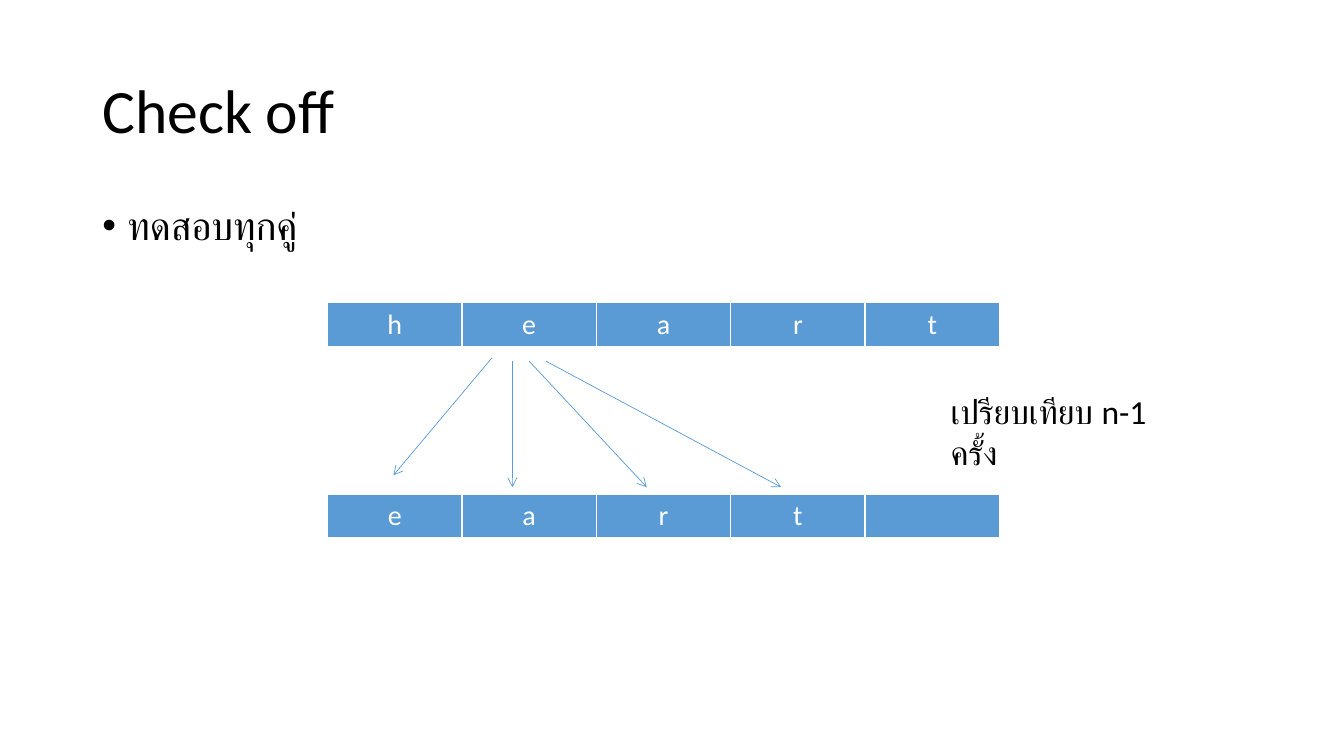
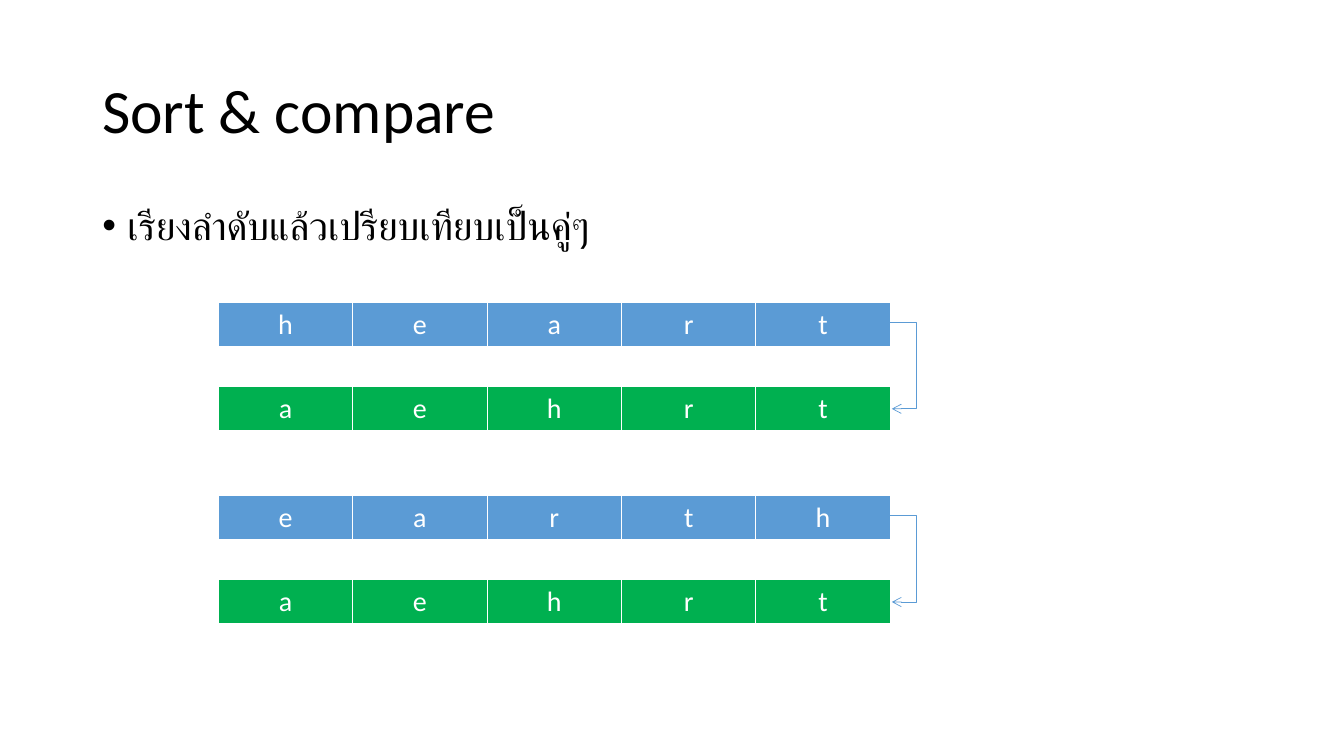
from lxml import etree
from pptx import Presentation
from pptx.dml.color import RGBColor
from pptx.enum import shapes, text
from pptx.oxml import ns
from pptx.util import Pt

HUES = {"ink": "000000", "pale": "FFFFFF", "blue": "5B9BD5", "green": "00B050"}
FONT = "Calibri"
LEFT, WIDE = 66, 828          # title and body column
CELL, ROW = 96, 29.2          # one letter cell


def hue(name):
    return RGBColor.from_string(HUES[name])


def add_run(para, words, size, tint="ink"):
    run = para.add_run()
    run.text = words
    font = run.font
    font.name, font.size, font.bold = FONT, Pt(size), False
    font.color.rgb = hue(tint)


def add_text(slide, box, words, size, anchor=text.MSO_ANCHOR.TOP):
    frame = slide.shapes.add_textbox(*map(Pt, box)).text_frame
    frame.word_wrap = True
    frame.vertical_anchor = anchor
    para = frame.paragraphs[0]
    add_run(para, words, size)
    return para


def add_bullet(slide, words):
    para = add_text(slide, (LEFT, 144, WIDE, 342), words, 28)
    para.line_spacing = 0.9
    para.space_before = Pt(10)
    props = para._p.get_or_add_pPr()
    props.set("marL", str(Pt(18)))
    props.set("indent", str(Pt(-18)))
    etree.SubElement(props, ns.qn("a:buFont"), typeface="Arial")
    etree.SubElement(props, ns.qn("a:buChar"), char="•")


def add_word(slide, left, top, word, tint="blue"):
    """One row of letter cells; a space leaves its cell empty."""
    size = len(word)
    frame = slide.shapes.add_table(1, size, Pt(left), Pt(top),
                                   Pt(CELL * size), Pt(ROW))
    grid = frame.table
    grid.rows[0].height = Pt(ROW)
    for spot, mark in enumerate(word):
        grid.columns[spot].width = Pt(CELL)
        cell = grid.cell(0, spot)
        cell.fill.solid()
        cell.fill.fore_color.rgb = hue(tint)
        para = cell.text_frame.paragraphs[0]
        para.alignment = text.PP_ALIGN.CENTER
        if mark.strip():
            add_run(para, mark, 20, "pale")


def add_arrow(slide, start, end, kind=shapes.MSO_CONNECTOR.STRAIGHT):
    link = slide.shapes.add_connector(kind, *map(Pt, start + end))
    link.line.color.rgb = hue("blue")
    link.line.width = Pt(0.5)
    etree.SubElement(link.line._get_or_add_ln(), ns.qn("a:tailEnd"), type="arrow")
    etree.SubElement(link._element.spPr, ns.qn("a:effectLst"))
    return link


def add_elbow(slide, left, top, drop, reach):
    """Arrow that leaves to the right and comes back lower down."""
    link = add_arrow(slide, (left, top), (left + 1, top + drop),
                     shapes.MSO_CONNECTOR.ELBOW)
    geom = link._element.spPr.find(ns.qn("a:prstGeom"))
    guides = geom.find(ns.qn("a:avLst"))
    if guides is None:
        guides = etree.SubElement(geom, ns.qn("a:avLst"))
    # The bend is given in 1/100000 of the one-point width
    etree.SubElement(guides, ns.qn("a:gd"), name="adj1",
                     fmla=f"val {reach * 100000}")


def add_page(deck, title, point):
    slide = deck.slides.add_slide(deck.slide_layouts[6])
    para = add_text(slide, (LEFT, 28.8, WIDE, 104.4), title, 44,
                    text.MSO_ANCHOR.MIDDLE)
    para.line_spacing = 0.9
    add_bullet(slide, point)
    return slide


def add_check(deck):
    slide = add_page(deck, "Check off", "ทดสอบทุกคู่")
    left = 234
    add_word(slide, left, 216, "heart")
    add_word(slide, left, 352.8, "eart ")
    # The letter e is tried against every remaining letter
    add_arrow(slide, (351.5, 255.5), (281, 339.5))
    for step in range(3):
        add_arrow(slide, (366 + 12 * step, 258), (366 + CELL * step, 348))
    add_text(slide, (672, 276, 161, 36), "เปรียบเทียบ n-1 ครั้ง", 24)


def add_sort(deck):
    slide = add_page(deck, "Sort & compare", "เรียงลำดับแล้วเปรียบเทียบเป็นคู่ๆ")
    left, drop = 156, 60
    for top, word in ((216, "heart"), (354, "earth")):
        add_word(slide, left, top, word)
        add_word(slide, left, top + drop, "".join(sorted(word)), "green")
        add_elbow(slide, left + CELL * len(word), top + 14, drop + 2, 19)


def main():
    deck = Presentation()
    deck.slide_width, deck.slide_height = Pt(960), Pt(540)
    add_check(deck)
    add_sort(deck)
    deck.save("out.pptx")


if __name__ == "__main__":
    main()
